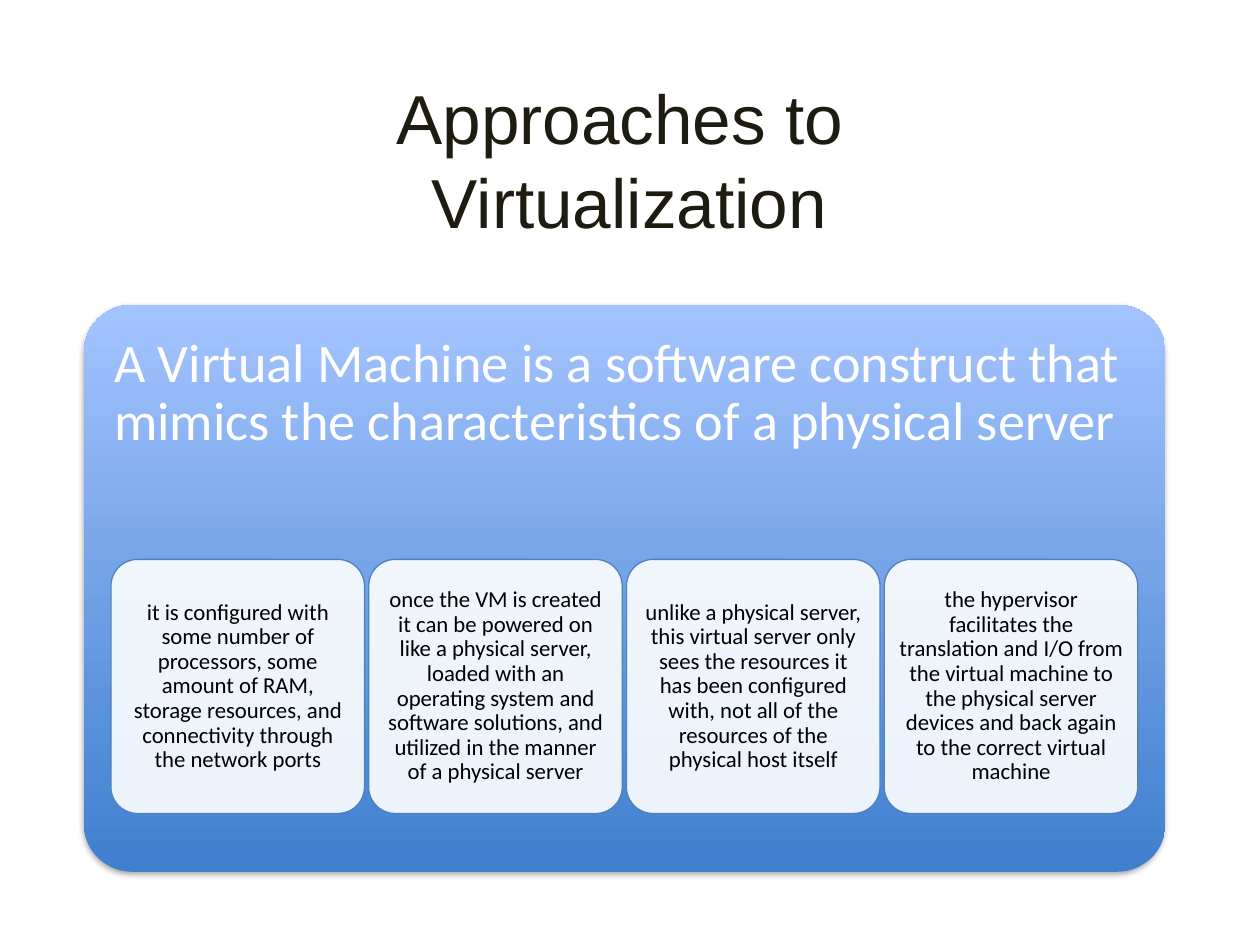
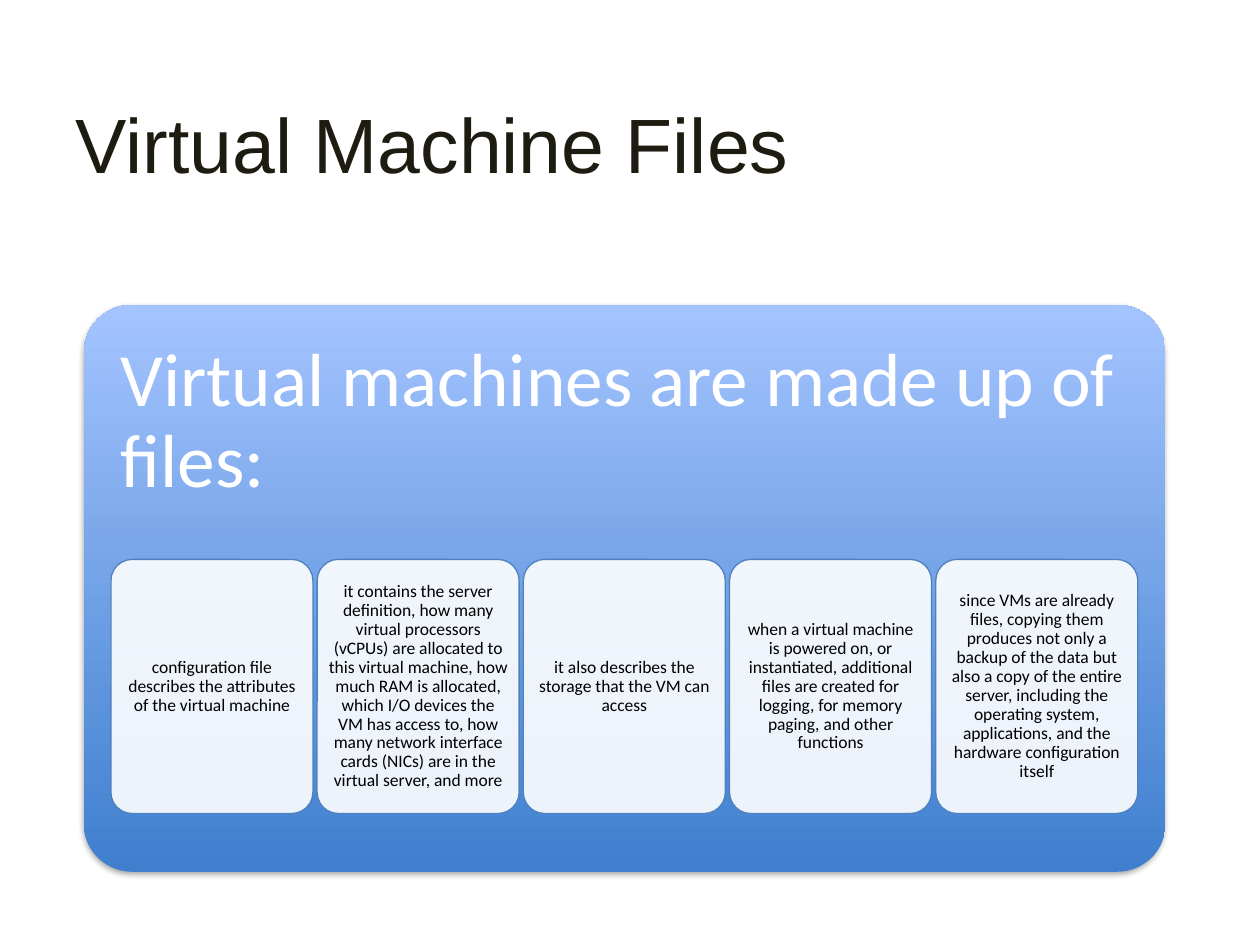
from dataclasses import dataclass

import lxml.etree
import pptx
import pptx.dml.color
import pptx.enum.shapes
import pptx.enum.text
import pptx.oxml
import pptx.oxml.ns
import pptx.util

Pt = pptx.util.Pt
RGB = pptx.dml.color.RGBColor.from_string
Align = pptx.enum.text.PP_ALIGN
Anchor = pptx.enum.text.MSO_ANCHOR
ROUNDED = pptx.enum.shapes.MSO_SHAPE.ROUNDED_RECTANGLE
qn = pptx.oxml.ns.qn


@dataclass(frozen=True)
class Theme:
    title_font: str = "Arial"
    body_font: str = "Calibri"
    title_color: str = "1E1C11"
    heading_color: str = "FFFFFF"
    card_text: str = "000000"
    card_fill: str = "FFFFFF"
    card_line: str = "4F81BD"
    panel_bottom: str = "3F7FCE"
    panel_top: str = "A4C4FF"
    shadow: str = "000000"


THEME = Theme()

# Panel and card row, in points
PANEL = (48, 174.2, 618, 324)
CARDS_LEFT, CARDS_TOP, CARDS_WIDTH, CARD_HEIGHT = 63.4, 319.7, 586.8, 145.2
CARD_GAP = 2.4
HEADING_BOTTOM_INSET = 200

SLIDES = [
    dict(
        title="Approaches to \vVirtualization",
        title_box=(41.8, 41.8, 635.8, 97.9), title_size=39.6, title_align=Align.CENTER,
        heading="A Virtual Machine is a software construct that mimics the "
                "characteristics of a physical server",
        heading_size=31, heading_inset=9.3, card_size=13, card_inset=3.9,
        cards=[
            "it is configured with some number of processors, some amount of RAM, "
            "storage resources, and connectivity through the network ports",
            "once the VM is created it can be powered on like a physical server, "
            "loaded with an operating system and software solutions, and utilized "
            "in the manner of a physical server",
            "unlike a physical server, this virtual server only sees the resources "
            "it has been configured with, not all of the resources of the physical "
            "host itself",
            "the hypervisor facilitates the translation and I/O from the virtual "
            "machine to the physical server devices and back again to the correct "
            "virtual machine",
        ],
    ),
    dict(
        title="Virtual Machine Files",
        title_box=(36, 36.7, 648, 90), title_size=44, title_align=Align.LEFT,
        heading="Virtual machines are made up of files:",
        heading_size=43, heading_inset=12.9, card_size=10, card_inset=3,
        cards=[
            "configuration file describes the attributes of the virtual machine",
            "it contains the server definition, how many virtual processors (vCPUs) "
            "are allocated to this virtual machine, how much RAM is allocated, which "
            "I/O devices the VM has access to, how many network interface cards "
            "(NICs) are in the virtual server, and more",
            "it also describes the storage that the VM can access",
            "when a virtual machine is powered on, or instantiated, additional files "
            "are created for logging, for memory paging, and other functions",
            "since VMs are already files, copying them produces not only a backup of "
            "the data but also a copy of the entire server, including the operating "
            "system, applications, and the hardware configuration itself",
        ],
    ),
]


def write(shape, text, size, font, color, align, anchor):
    frame = shape.text_frame
    frame.text = text
    frame.word_wrap = True
    frame.auto_size = pptx.enum.text.MSO_AUTO_SIZE.NONE
    frame.vertical_anchor = anchor
    paragraph = frame.paragraphs[0]
    paragraph.alignment = align
    for run in paragraph.runs:
        run.font.size = Pt(size)
        run.font.name = font
        run.font.color.rgb = RGB(color)
    return frame


def add_rounded(slide, box, roundness, inset, text, size, color, align, anchor):
    shape = slide.shapes.add_shape(ROUNDED, *[Pt(length) for length in box])
    shape.adjustments[0] = roundness
    shape.shadow.inherit = False
    frame = write(shape, text, size, THEME.body_font, color, align, anchor)
    frame.margin_left = frame.margin_right = Pt(inset)
    frame.margin_top = frame.margin_bottom = Pt(inset)
    frame.paragraphs[0].line_spacing = 0.9
    return shape


deck = pptx.Presentation()
deck.slide_width, deck.slide_height = Pt(720), Pt(540)

for content in SLIDES:
    slide = deck.slides.add_slide(deck.slide_layouts.get_by_name("Title Only"))

    # Title
    title = slide.shapes.title
    title.left, title.top, title.width, title.height = [
        Pt(length) for length in content["title_box"]]
    write(title, content["title"], content["title_size"], THEME.title_font,
          THEME.title_color, content["title_align"], Anchor.MIDDLE)

    # Gradient panel with its heading
    panel = add_rounded(slide, PANEL, 0.085, content["heading_inset"],
                        content["heading"], content["heading_size"],
                        THEME.heading_color, Align.LEFT, Anchor.TOP)
    panel.text_frame.margin_bottom = Pt(HEADING_BOTTOM_INSET)
    panel.line.fill.background()
    panel.fill.gradient()
    panel.fill.gradient_angle = 90
    stops = panel.fill.gradient_stops
    for stop, position, color in zip(stops, (0, 1), (THEME.panel_bottom, THEME.panel_top)):
        stop.position = position
        stop.color.rgb = RGB(color)

    # Soft shadow under the panel
    effects = panel.element.spPr.find(qn("a:effectLst"))
    shadow = lxml.etree.SubElement(
        effects, qn("a:outerShdw"), blurRad=str(Pt(3.1)), dist=str(Pt(1.8)),
        dir="5400000", rotWithShape="0")
    shade = lxml.etree.SubElement(shadow, qn("a:srgbClr"), val=THEME.shadow)
    lxml.etree.SubElement(shade, qn("a:alpha"), val="35000")

    # Row of translucent cards
    count = len(content["cards"])
    card_width = (CARDS_WIDTH - (count - 1) * CARD_GAP) / count
    for index, statement in enumerate(content["cards"]):
        left = CARDS_LEFT + index * (card_width + CARD_GAP)
        card = add_rounded(slide, (left, CARDS_TOP, card_width, CARD_HEIGHT), 0.105,
                           content["card_inset"], statement, content["card_size"],
                           THEME.card_text, Align.CENTER, Anchor.MIDDLE)
        card.fill.solid()
        card.fill.fore_color.rgb = RGB(THEME.card_fill)
        tint = card.element.spPr.find(qn("a:solidFill"))[0]
        lxml.etree.SubElement(tint, qn("a:alpha"), val="90000")
        card.line.color.rgb = RGB(THEME.card_line)
        card.line.width = Pt(0.75)

deck.save("out.pptx")
